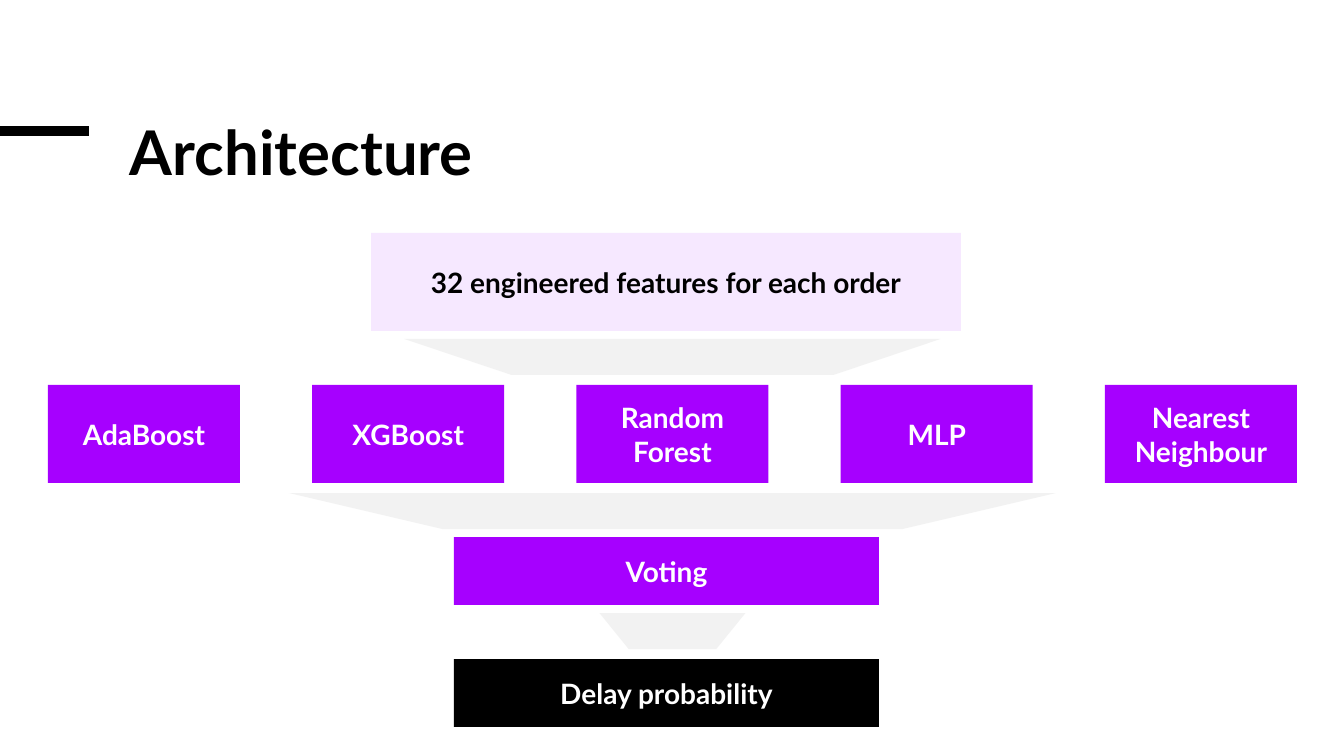
from lxml.etree import SubElement
from pptx import Presentation
from pptx.dml.color import RGBColor
from pptx.enum.shapes import MSO_CONNECTOR, MSO_SHAPE
from pptx.enum.text import MSO_ANCHOR, PP_ALIGN
from pptx.oxml.ns import qn
from pptx.util import Emu, Pt

FONT = "Lato"
PURPLE, BLACK, WHITE, GREY = "A600FF", "000000", "FFFFFF", "F2F2F2"
MODELS = ["AdaBoost", "XGBoost", "Random Forest", "MLP", "Nearest Neighbour"]


def px(n):
    return Emu(round(n * 914400 / 100.8))


def rgb(value):
    return RGBColor.from_string(value)


def style(p, size, color):
    for r in p.runs:
        r.font.name = FONT
        r.font.size = Pt(size)
        r.font.bold = True
        r.font.color.rgb = rgb(color)


def add_block(s, kind, box, fill):
    sp = s.shapes.add_shape(kind, *map(px, box))
    sp.shadow.inherit = False
    sp.fill.solid()
    sp.fill.fore_color.rgb = rgb(fill)
    sp.line.fill.background()
    return sp


def add_label(s, box, text, fill=PURPLE, color=WHITE):
    sp = add_block(s, MSO_SHAPE.RECTANGLE, box, fill)
    tf = sp.text_frame
    tf.word_wrap = True
    tf.vertical_anchor = MSO_ANCHOR.MIDDLE
    p = tf.paragraphs[0]
    p.text = text
    p.alignment = PP_ALIGN.CENTER
    style(p, 20, color)
    return sp


def set_opacity(sp, percent):
    clr = sp.fill._xPr.find(qn("a:solidFill"))[0]
    SubElement(clr, qn("a:alpha")).set("val", str(percent * 1000))


def add_header(s, x, y, w, h):
    rule = s.shapes.add_connector(
        MSO_CONNECTOR.STRAIGHT, px(0), px(y + 11), px(x - 31), px(y + 11))
    rule.line.color.rgb = rgb(BLACK)
    rule.line.width = Pt(6.75)
    SubElement(rule._element.spPr, qn("a:effectLst"))
    tf = s.shapes.add_textbox(px(x), px(y), px(w), px(h)).text_frame
    tf.word_wrap = True
    p = tf.paragraphs[0]
    p.text = "Architecture"
    p.line_spacing = 0.85
    style(p, 44, BLACK)


def add_models(s, x, y, w, h):
    box_w = 192
    step = (w - box_w) / (len(MODELS) - 1)
    for i, model in enumerate(MODELS):
        add_label(s, (x + i * step, y, box_w, h), model)


def add_pipeline(s, x, y, w, h):
    features = add_label(s, (x + 323, y, 590, 98),
                         "32 engineered features for each order", color=BLACK)
    set_opacity(features, 9)
    add_models(s, x, y + 152, w, 98)
    add_label(s, (x + 406, y + 304, 425, 68), "Voting")
    add_label(s, (x + 406, y + h - 68, 425, 68), "Delay probability", BLACK)
    for top, width in ((106, 536), (260, 767), (380, 146)):
        left = x + (w - width) / 2
        add_block(s, MSO_SHAPE.FLOWCHART_MANUAL_OPERATION,
                  (left, y + top, width, 36), GREY)


prs = Presentation()
prs.slide_width, prs.slide_height = px(1344), px(756)
s = prs.slides.add_slide(prs.slide_layouts[6])
add_header(s, 120, 120, 1094, 143)
add_pipeline(s, 48, 233, 1249, 494)
prs.save("out.pptx")
